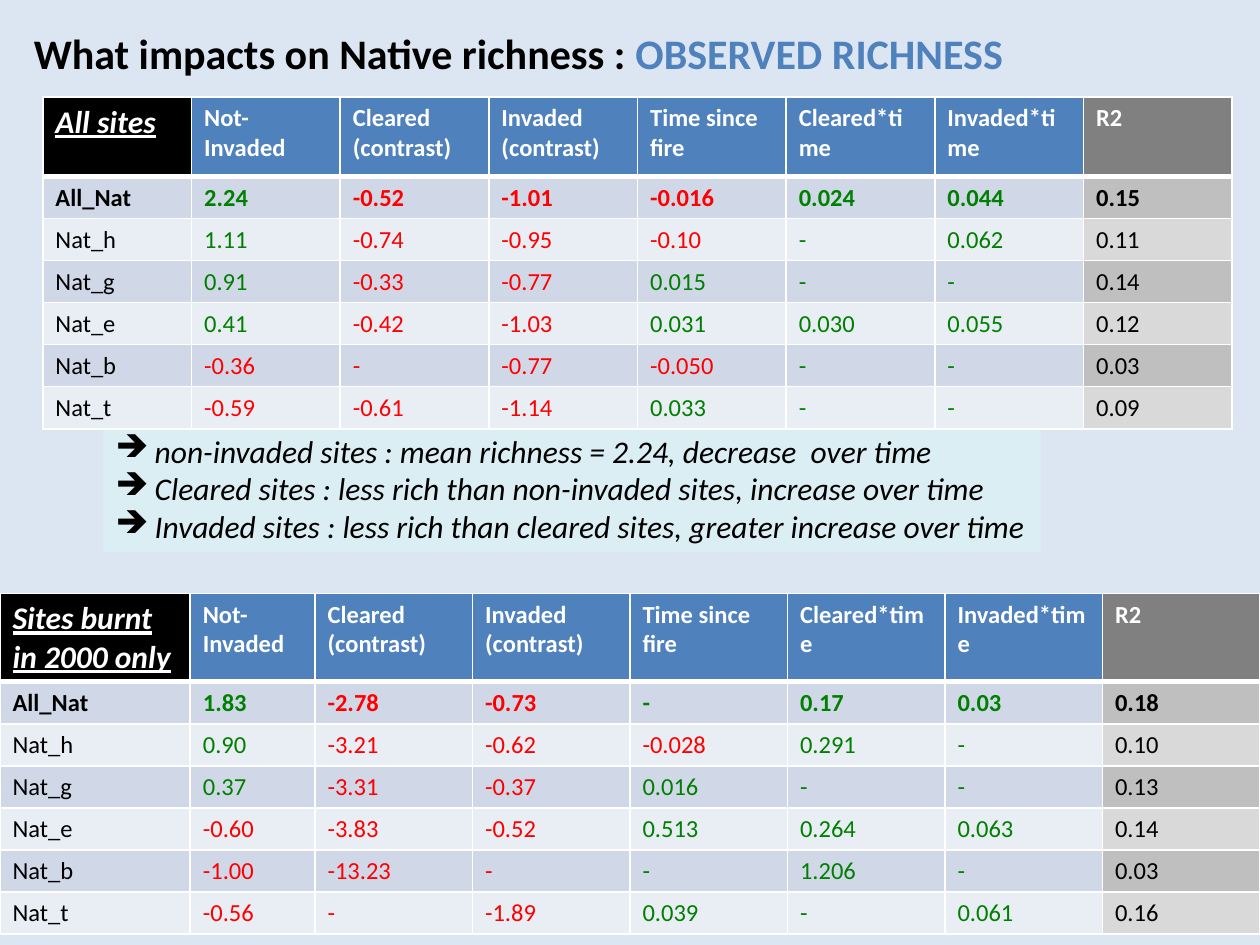
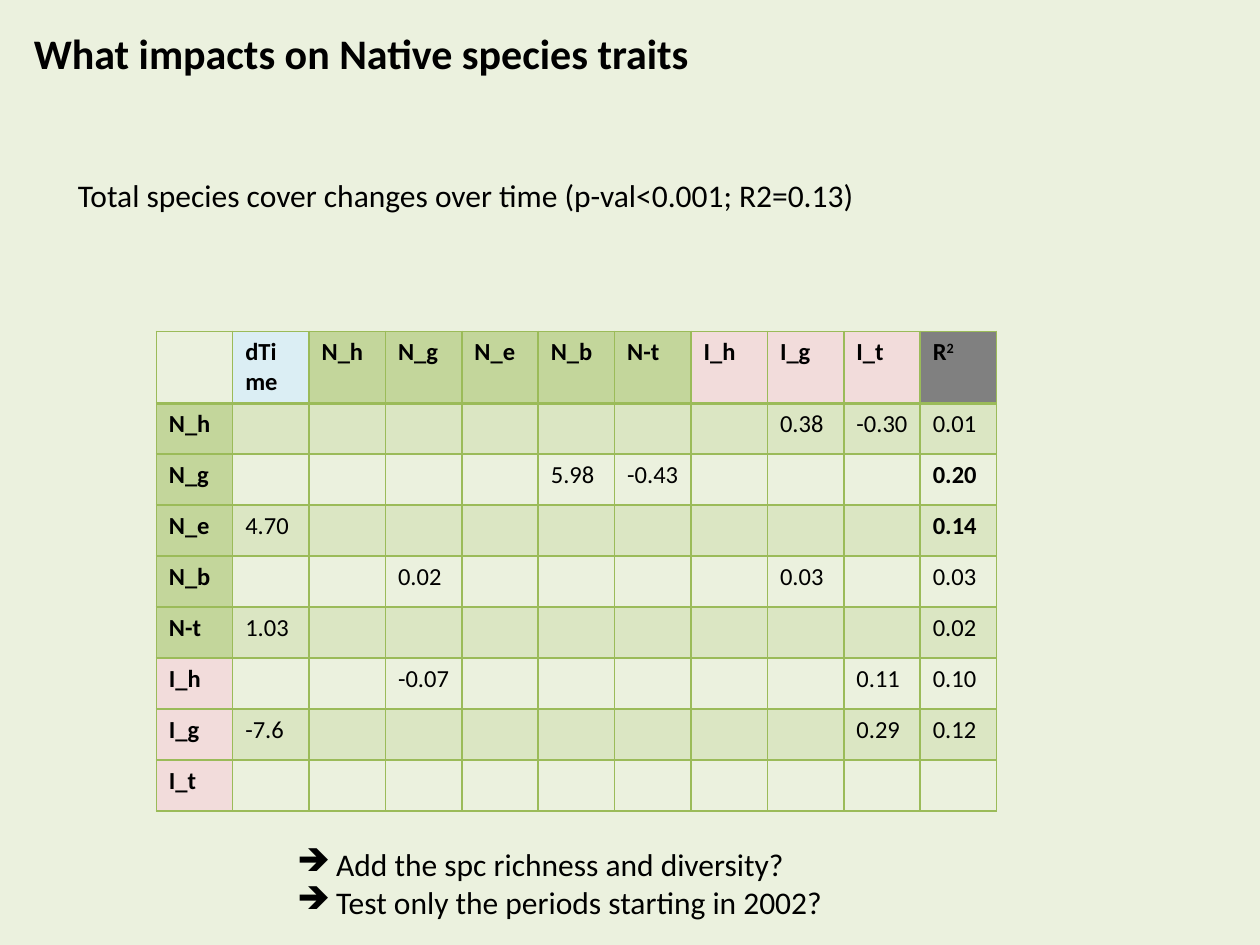
"""Build two slides on what drives native richness and native species traits."""
from lxml.etree import SubElement
from pptx import Presentation
from pptx.dml.color import RGBColor
from pptx.enum.shapes import MSO_SHAPE
from pptx.enum.text import MSO_AUTO_SIZE, PP_ALIGN
from pptx.oxml.ns import qn
from pptx.util import Inches, Pt

FONT = "Calibri"
BLACK, WHITE, GREY = "000000", "FFFFFF", "808080"
BLUE, GREEN_TEXT, RED_TEXT = "4F81BD", "008000", "FF0000"
PALE_BLUE, GREEN, MID_GREEN, PINK = "DBEEF4", "9BBB59", "C3D69B", "F2DCDB"
hex_color = RGBColor.from_string


def add_text(p, text, size=18, color=BLACK, bold=False, italic=False,
             underline=False, bullet=None, baseline=None):
    p.alignment = PP_ALIGN.LEFT
    r = p.add_run()
    r.text = text
    r.font.name, r.font.size = FONT, Pt(size)
    r.font.bold, r.font.italic, r.font.underline = bold, italic, underline
    r.font.color.rgb = hex_color(color)
    if baseline:
        r.font._element.set("baseline", str(baseline))
    if bullet:
        pPr = p._p.get_or_add_pPr()
        pPr.set("marL", str(Inches(0.31)))
        pPr.set("indent", str(-Inches(0.31)))
        SubElement(pPr, qn("a:buChar"), char=bullet)


def style_cell(cell, fill, border, top=1, bottom=1, alpha=None):
    tcPr = cell._tc.get_or_add_tcPr()
    for side, width in (("L", 1), ("R", 1), ("T", top), ("B", bottom)):
        ln = SubElement(tcPr, qn(f"a:ln{side}"), w=str(Pt(width)))
        SubElement(SubElement(ln, qn("a:solidFill")), qn("a:srgbClr"), val=border)
    if fill is None:
        cell.fill.background()
        return
    cell.fill.solid()
    cell.fill.fore_color.rgb = hex_color(fill)
    if alpha:
        color = tcPr.find(qn("a:solidFill")).find(qn("a:srgbClr"))
        SubElement(color, qn("a:alpha"), val=str(alpha * 1000))


prs = Presentation()
prs.slide_width, prs.slide_height = Inches(10), Inches(7.5)

slides = []
for background, title in (
    ("DCE6F2", (("What impacts on Native richness : ", BLACK), ("OBSERVED RICHNESS", BLUE))),
    ("EBF1DE", (("What impacts on Native species traits", BLACK),)),
):
    s = prs.slides.add_slide(prs.slide_layouts[6])
    s.background.fill.solid()
    s.background.fill.fore_color.rgb = hex_color(background)
    tf = s.shapes.add_textbox(Inches(0.17), Inches(0.17), Inches(9.83), Inches(0.5)).text_frame
    tf.word_wrap = True
    for text, color in title:
        add_text(tf.paragraphs[0], text, size=24, color=color, bold=True)
    slides.append(s)
richness, traits = slides

notes = (
    (richness, (0.82, 3.37, 7.44, 1.01), PALE_BLUE, "➔", True,
     ("non-invaded sites : mean richness = 2.24, decrease  over time",
      "Cleared sites : less rich than non-invaded sites, increase over time",
      "Invaded sites : less rich than cleared sites, greater increase over time")),
    (traits, (0.52, 1.35, 6.58, 0.4), None, None, False,
     ("Total species cover changes over time (p-val<0.001; R2=0.13)",)),
    (traits, (2.26, 6.66, 4.44, 0.71), None, "➔", False,
     ("Add the spc richness and diversity?",
      "Test only the periods starting in 2002?")),
)
for s, box, fill, bullet, italic, lines in notes:
    box = [Inches(v) for v in box]
    if fill:
        sp = s.shapes.add_shape(MSO_SHAPE.RECTANGLE, *box)
        sp.shadow.inherit = False
        sp.fill.solid()
        sp.fill.fore_color.rgb = hex_color(fill)
        sp.line.fill.background()
    else:
        sp = s.shapes.add_textbox(*box)
    tf = sp.text_frame
    tf.word_wrap = False
    tf.auto_size = MSO_AUTO_SIZE.SHAPE_TO_FIT_TEXT
    for i, line in enumerate(lines):
        p = tf.add_paragraph() if i else tf.paragraphs[0]
        add_text(p, line, italic=italic, bullet=bullet)

effects = ("Not-Invaded", "Cleared (contrast)", "Invaded (contrast)", "Time since fire",
           "Cleared*time", "Invaded*time", "R2")
contrast_columns = (2, 3)
richness_tables = (
    ("All sites", (0.34, 0.77, 9.42, 2.63), [1.18] * 8, 0.63, (
        "All_Nat 2.24 -0.52 -1.01 -0.016 0.024 0.044 0.15",
        "Nat_h 1.11 -0.74 -0.95 -0.10 - 0.062 0.11",
        "Nat_g 0.91 -0.33 -0.77 0.015 - - 0.14",
        "Nat_e 0.41 -0.42 -1.03 0.031 0.030 0.055 0.12",
        "Nat_b -0.36 - -0.77 -0.050 - - 0.03",
        "Nat_t -0.59 -0.61 -1.14 0.033 - - 0.09")),
    ("Sites burnt in 2000 only", (0, 4.71, 10, 2.7), [1.51, 0.99] + [1.25] * 6, 0.7, (
        "All_Nat 1.83 -2.78 -0.73 - 0.17 0.03 0.18",
        "Nat_h 0.90 -3.21 -0.62 -0.028 0.291 - 0.10",
        "Nat_g 0.37 -3.31 -0.37 0.016 - - 0.13",
        "Nat_e -0.60 -3.83 -0.52 0.513 0.264 0.063 0.14",
        "Nat_b -1.00 -13.23 - - 1.206 - 0.03",
        "Nat_t -0.56 - -1.89 0.039 - 0.061 0.16")),
)
for name, box, widths, header_height, lines in richness_tables:
    rows = [(name, *effects)] + [line.split() for line in lines]
    last = len(effects)
    table = richness.shapes.add_table(len(rows), last + 1, *[Inches(v) for v in box]).table
    table.first_row = table.horz_banding = False
    for column, width in zip(table.columns, widths):
        column.width = Inches(width)
    for i, row in enumerate(rows):
        table.rows[i].height = Inches(0.33 if i else header_height)
        for j, text in enumerate(row):
            cell = table.cell(i, j)
            p = cell.text_frame.paragraphs[0]
            if i == 0:
                fill = BLACK if j == 0 else GREY if j == last else BLUE
                style_cell(cell, fill, WHITE, bottom=3)
                add_text(p, text, size=14 if j else 18, color=WHITE, bold=True,
                         italic=j == 0, underline=j == 0)
                continue
            bands = ("BFBFBF", "D9D9D9") if j == last else ("D0D8E8", "E9EDF4")
            style_cell(cell, bands[(i - 1) % 2], WHITE, top=3 if i == 1 else 1)
            if j in (0, last):
                color = BLACK
            elif j in contrast_columns or (text.startswith("-") and text != "-"):
                color = RED_TEXT
            else:
                color = GREEN_TEXT
            add_text(p, text, size=14, color=color, bold=i == 1)

species = ("N_h", "N_g", "N_e", "N_b", "N-t", "I_h", "I_g", "I_t")
headers = ("", "dTime", *species, "R")
fills = {"": None, "dTime": PALE_BLUE, "R": GREY}
fills.update({name: MID_GREEN if name.startswith("N") else PINK for name in species})
trait_values = {
    "N_h": {"I_g": "0.38", "I_t": "-0.30", "R": "0.01"},
    "N_g": {"N_b": "5.98", "N-t": "-0.43", "R": "0.20"},
    "N_e": {"dTime": "4.70", "R": "0.14"},
    "N_b": {"N_g": "0.02", "I_g": "0.03", "R": "0.03"},
    "N-t": {"dTime": "1.03", "R": "0.02"},
    "I_h": {"N_g": "-0.07", "I_t": "0.11", "R": "0.10"},
    "I_g": {"dTime": "-7.6", "I_t": "0.29", "R": "0.12"},
    "I_t": {},
}
strong_fits = ("0.20", "0.14")
table = traits.shapes.add_table(len(species) + 1, len(headers), Inches(1.24), Inches(2.63),
                                Inches(6.67), Inches(3.81)).table
table.first_row = table.horz_banding = False
for column in table.columns:
    column.width = Inches(6.67 / len(headers))
for i, name in enumerate(("", *species)):
    table.rows[i].height = Inches(0.405 if i else 0.57)
    for j, header in enumerate(headers):
        cell = table.cell(i, j)
        p = cell.text_frame.paragraphs[0]
        if i == 0:
            text, fill, alpha = header, fills[header], None
        elif j == 0:
            text, fill, alpha = name, fills[name], None
        else:
            text, fill, alpha = trait_values[name].get(header, ""), GREEN if i % 2 else None, 20
        style_cell(cell, fill, GREEN, top=2 if i == 1 else 1, bottom=1 if i else 2, alpha=alpha)
        if text:
            add_text(p, text, size=14, bold=i == 0 or j == 0 or text in strong_fits)
        if text == "R":
            add_text(p, "2", size=14, bold=True, baseline=30000)

prs.save("out.pptx")
